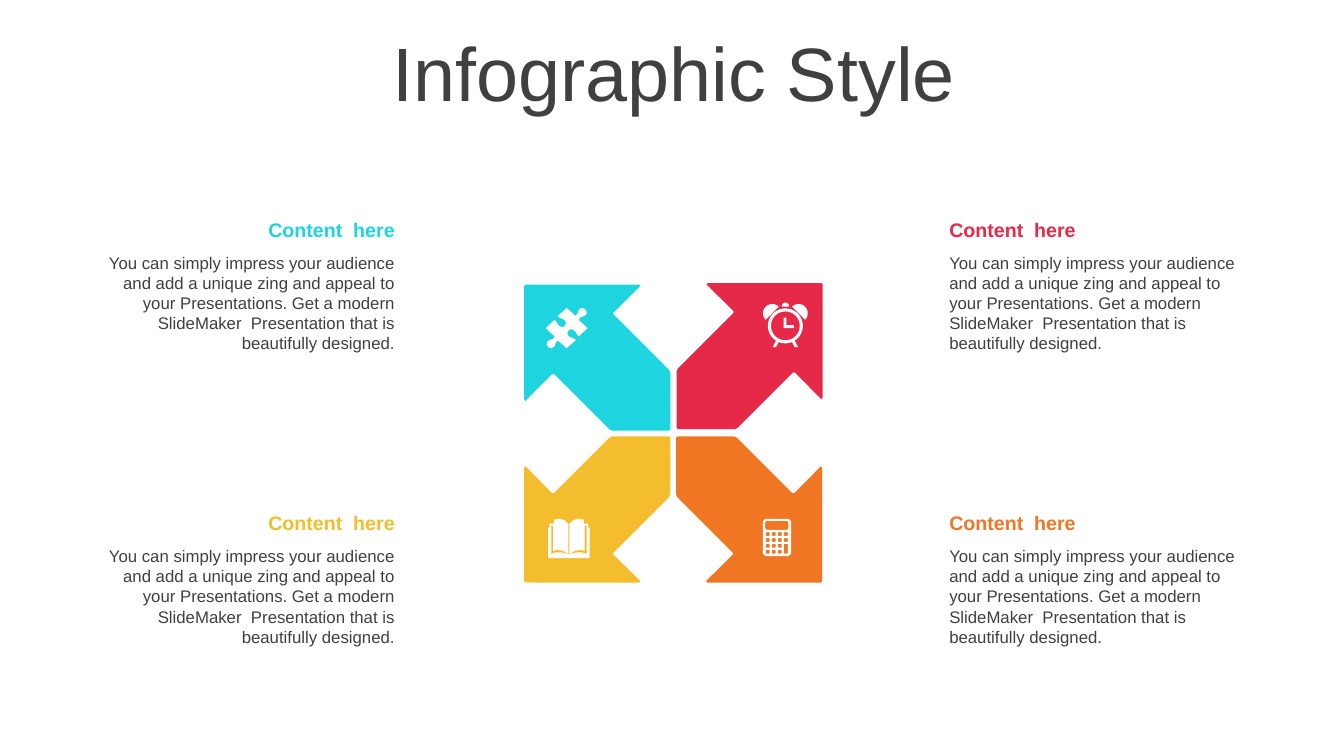
from math import cos, radians, sin, sqrt

from pptx import Presentation
from pptx.dml.color import RGBColor
from pptx.enum.text import MSO_ANCHOR, PP_ALIGN
from pptx.util import Pt

LEFT, RIGHT, CENTER = PP_ALIGN.LEFT, PP_ALIGN.RIGHT, PP_ALIGN.CENTER
TOP, MIDDLE = MSO_ANCHOR.TOP, MSO_ANCHOR.MIDDLE

CYAN = RGBColor(0x1E, 0xD4, 0xDE)
RED = RGBColor(0xE6, 0x29, 0x49)
YELLOW = RGBColor(0xF4, 0xBD, 0x2D)
ORANGE = RGBColor(0xF0, 0x76, 0x24)
GREY = RGBColor(0x40, 0x40, 0x40)
WHITE = RGBColor(0xFF, 0xFF, 0xFF)

deck = Presentation()
deck.slide_width, deck.slide_height = Pt(960), Pt(540)
slide = deck.slides.add_slide(deck.slide_layouts[6])


def write(text, x, y, w, h, size=12, color=GREY, bold=False,
          align=LEFT, anchor=TOP, line=1.0):
    frame = slide.shapes.add_textbox(Pt(x), Pt(y), Pt(w), Pt(h)).text_frame
    frame.word_wrap = True
    frame.vertical_anchor = anchor
    para = frame.paragraphs[0]
    para.alignment = align
    para.line_spacing = line
    run = para.add_run()
    run.text = text
    run.font.name = "Arial"
    run.font.size = Pt(size)
    run.font.bold = bold
    run.font.color.rgb = color


def trace(loops, x, y, color, turn=0):
    path = None
    for loop in loops:
        dots = [(Pt(x + dx), Pt(y + dy)) for dx, dy in loop]
        if path is None:
            path = slide.shapes.build_freeform(*dots[0], scale=1.0)
        else:
            path.move_to(*dots[0])
        path.add_line_segments(dots[1:], close=True)
    shape = path.convert_to_shape()
    shape.rotation = turn
    shape.shadow.inherit = False
    shape.fill.solid()
    shape.fill.fore_color.rgb = color
    shape.line.fill.background()


write("Infographic Style", 25.5, 26.6, 911.5, 56.9, size=54,
      align=CENTER, anchor=MIDDLE, line=0.9)

SIDE = 104.4
CORNER = [(0, 1), (1, 0), (82, 0), (83, 1), (63.8, 20), (63.8, 21.3),
          (103.5, 61), (SIDE, 63), (SIDE, 103.4), (103.4, SIDE),
          (63, SIDE), (61, 103.5), (21.3, 63.8), (20, 63.8),
          (1, 83), (0, 82)]
ARROW = [((x + y - SIDE) / sqrt(2), (y - x) / sqrt(2)) for x, y in CORNER]
BODY = ("You can simply impress your audience and add a unique zing and "
        "appeal to your Presentations. Get a modern SlideMaker  "
        "Presentation that is beautifully designed.")

parts = [
    (CYAN, 426.6, 255.5, 45, 65.2, 151.9, RIGHT),
    (RED, 535.5, 254.4, 135, 671, 151.9, LEFT),
    (ORANGE, 535.1, 363.9, 225, 671, 361.4, LEFT),
    (YELLOW, 426.6, 363.9, 315, 65.2, 361.4, RIGHT),
]
for color, x, y, turn, left, top, align in parts:
    trace([ARROW], x, y, color, turn)
    write("Content  here", left, top, 224, 24.5, size=14, color=color,
          bold=True, align=align, anchor=MIDDLE)
    write(BODY, left, top + 24.9, 224, 80, align=align)

HALF = [(0, -14.4), (6.5, -8.6), (7.9, -10.8), (8.6, -13), (10.8, -14.4),
        (13, -13.7), (14.4, -11.5), (13.7, -9.4), (11.5, -8.3),
        (9.7, -7.6), (8.6, -5.8), (15, 0), (8.6, 6), (7.2, 4.3),
        (6.1, 2.2), (3.6, 0.7), (1.4, 1.4), (0.4, 3.6), (1.4, 5.8),
        (3.6, 6.8), (5.4, 7.6), (6.5, 8.6)]
trace([HALF + [(-dx, -dy) for dx, dy in HALF]], 404.8, 234.4, WHITE)

clock = [[(r * cos(radians(a)), r * sin(radians(a)))
          for a in range(0, 360, 10)] for r in (12.5, 10.3)]
clock.append([(-1.2, -5.8), (0.8, -5.8), (0.8, -0.5), (6.1, -0.5),
              (6.1, 1.6), (-1.2, 1.6)])
clock.append([(-2.6, -13.8), (-2.2, -15.6), (-1, -16.6), (1, -16.6),
              (2.2, -15.6), (2.6, -13.8)])
for side in (1, -1):
    clock.append([(side * (6.6 * cos(radians(a)) - 9.4),
                   6.6 * sin(radians(a)) - 9) for a in range(135, 316, 10)])
    clock.append([(side * 4.8, 11.5), (side * 6.6, 15.1),
                  (side * 9, 15.1), (side * 6.7, 10.5)])
trace(clock, 561, 232.8, WHITE)

PAGE = [(0.4, 25.2), (0.4, 3.6), (3.2, 1.1), (6.5, 0), (10.8, 0.7),
        (10.8, 3.6), (14, 3.6), (14, 6.5), (14.8, 6.5), (14.8, 28.1),
        (0, 28.1), (0, 25.6), (3.2, 24.5), (6.5, 24), (9.4, 24.1),
        (12.6, 25.2), (12.6, 5), (11.2, 5), (11.2, 23), (7.9, 22.3),
        (4.3, 23)]
trace([[(side * dx, dy) for dx, dy in PAGE] for side in (1, -1)],
      406.4, 370.5, WHITE)

boxes = [(0, 0, 20.2, 26.6, 1.8), (1.7, 1.5, 16.6, 6.4, 1)]
for row in range(4):
    for col in range(4):
        if (row, col) != (3, 3):
            tall = 6.9 if (row, col) == (2, 3) else 2.7
            boxes.append((2.2 + 4.3 * col, 9.6 + 4.2 * row, 2.7, tall, 0.3))
trace([[(x + c, y), (x + w - c, y), (x + w, y + c), (x + w, y + h - c),
        (x + w - c, y + h), (x + c, y + h), (x, y + h - c), (x, y + c)]
       for x, y, w, h, c in boxes], 544.9, 370.6, WHITE)

deck.save("out.pptx")
